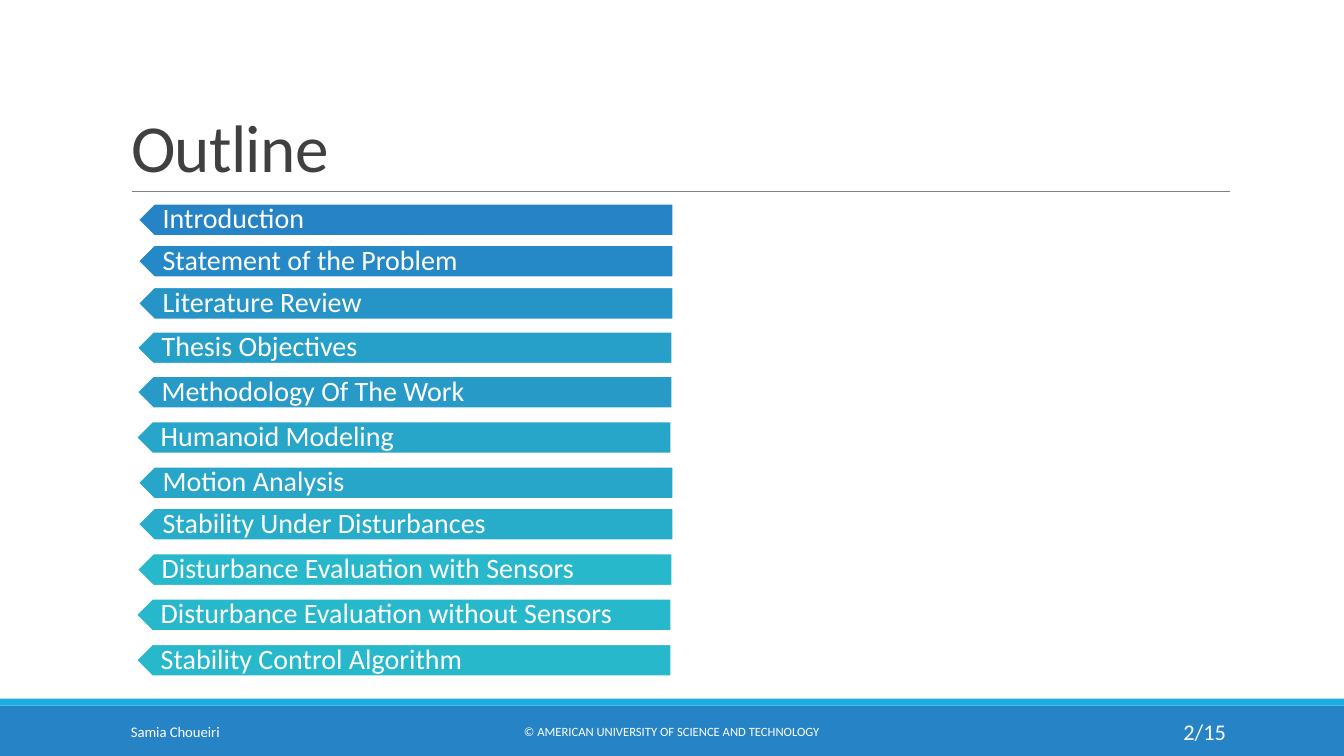
import pptx
import pptx.dml.color
import pptx.enum.shapes
import pptx.enum.text
import pptx.oxml
import pptx.util
import lxml.etree

Pt = pptx.util.Pt
Shape = pptx.enum.shapes.MSO_SHAPE
Align = pptx.enum.text.PP_ALIGN
Anchor = pptx.enum.text.MSO_ANCHOR

WIDTH, HEIGHT = 960, 540
WHITE = "FFFFFF"
TOPICS = [
    ("Introduction", 98.6, 145.5, "2683C6"),
    ("Statement of the Problem", 98.6, 175, "2689C7"),
    ("Literature Review", 98.6, 205.2, "2794C8"),
    ("Thesis Objectives", 97.9, 236.9, "27A0C9"),
    ("Methodology Of The Work", 97.9, 268.6, "279AC8"),
    ("Humanoid Modeling", 97.2, 301, "27A6C9"),
    ("Motion Analysis", 98.6, 333.4, "27A6C9"),
    ("Stability Under Disturbances", 98.6, 362.9, "27ACCA"),
    ("Disturbance Evaluation with Sensors", 97.9, 395.3, "28B8CB"),
    ("Disturbance Evaluation without Sensors", 97.2, 427.7, "28B8CB"),
    ("Stability Control Algorithm", 97.2, 460.1, "28B8CB"),
]


def color(code):
    """Turn a hex string into a colour."""
    return pptx.dml.color.RGBColor.from_string(code)


def block(shapes, kind, box, fill, edge=None):
    """Add a filled preset shape, with a white edge if a width is given."""
    shape = shapes.add_shape(kind, *map(Pt, box))
    shape.shadow.inherit = False
    shape.fill.solid()
    shape.fill.fore_color.rgb = color(fill)
    if edge:
        shape.line.color.rgb = color(WHITE)
        shape.line.width = Pt(edge)
    else:
        shape.line.fill.background()
    return shape


def style(shape, text, size, code, align, anchor, space=1):
    """Write one paragraph into a shape and format it."""
    frame = shape.text_frame
    frame.word_wrap = True
    frame.auto_size = pptx.enum.text.MSO_AUTO_SIZE.NONE
    frame.vertical_anchor = anchor
    para = frame.paragraphs[0]
    para.text = text
    para.alignment = align
    para.line_spacing = space
    para.font.name = "Calibri"
    para.font.size = Pt(size)
    para.font.color.rgb = color(code)
    return frame


def label(shapes, box, text, size, align=Align.LEFT, space=1):
    """Add a white text box centred in height."""
    shape = shapes.add_textbox(*map(Pt, box))
    return style(shape, text, size, WHITE, align, Anchor.MIDDLE, space)


def header(slide, left, top, width, height):
    """Place the title and the rule below it."""
    title = slide.shapes.title
    title.left, title.top = Pt(left), Pt(top)
    title.width, title.height = Pt(width), Pt(height)
    frame = style(title, "Outline", 48, "404040", Align.LEFT, Anchor.BOTTOM, 0.85)
    frame.paragraphs[0].runs[0].font._element.set("spc", "-50")
    base = Pt(top + height)
    rule = slide.shapes.add_connector(
        pptx.enum.shapes.MSO_CONNECTOR.STRAIGHT,
        Pt(left + 8), base, Pt(left + width), base)
    rule.line.color.rgb = color("808080")
    rule.line.width = Pt(0.5)
    lxml.etree.SubElement(rule._element.spPr, pptx.oxml.ns.qn("a:effectLst"))


def topic(slide, left, top, width, height, text, fill):
    """Place one outline entry: a left-pointing tag and its label."""
    shapes = slide.shapes.add_group_shape().shapes
    tag = block(shapes, Shape.PENTAGON, (left, top, width, height), fill, 1.25)
    tag.rotation = 180
    box = left + 7.6, top, width - 8, height
    frame = label(shapes, box, text, 20, space=0.9)
    frame.margin_left, frame.margin_right = Pt(10), Pt(11.5)
    frame.margin_top = frame.margin_bottom = Pt(5.8)


def footer(slide, left, top, width, height):
    """Place the bottom bands with author, owner and page number."""
    shapes = slide.shapes
    block(shapes, Shape.RECTANGLE, (left, top + 5, width, height - 5), "2683C6")
    block(shapes, Shape.RECTANGLE, (left, top, width, 5), "1CADE4")
    row, tall = top + 9.3, 28.8
    label(shapes, (left + 86.4, row, 194.4, tall), "Samia Choueiri", 10.5)
    label(shapes, (left + 290, row, 379.4, tall),
          "© AMERICAN UNIVERSITY OF SCIENCE AND TECHNOLOGY", 9, Align.CENTER)
    label(shapes, (left + 779.8, row, 103, tall), "2/15", 16, Align.RIGHT)


def main():
    """Build and save the outline slide."""
    deck = pptx.Presentation()
    deck.slide_width, deck.slide_height = Pt(WIDTH), Pt(HEIGHT)
    slide = deck.slides.add_slide(deck.slide_layouts[5])
    footer(slide, 0, 499, WIDTH, HEIGHT - 499)
    header(slide, 86.4, 22.3, 792, 114.5)
    for text, left, top, fill in TOPICS:
        topic(slide, left, top, 382.3, 23, text, fill)
    deck.save("out.pptx")


if __name__ == "__main__":
    main()
